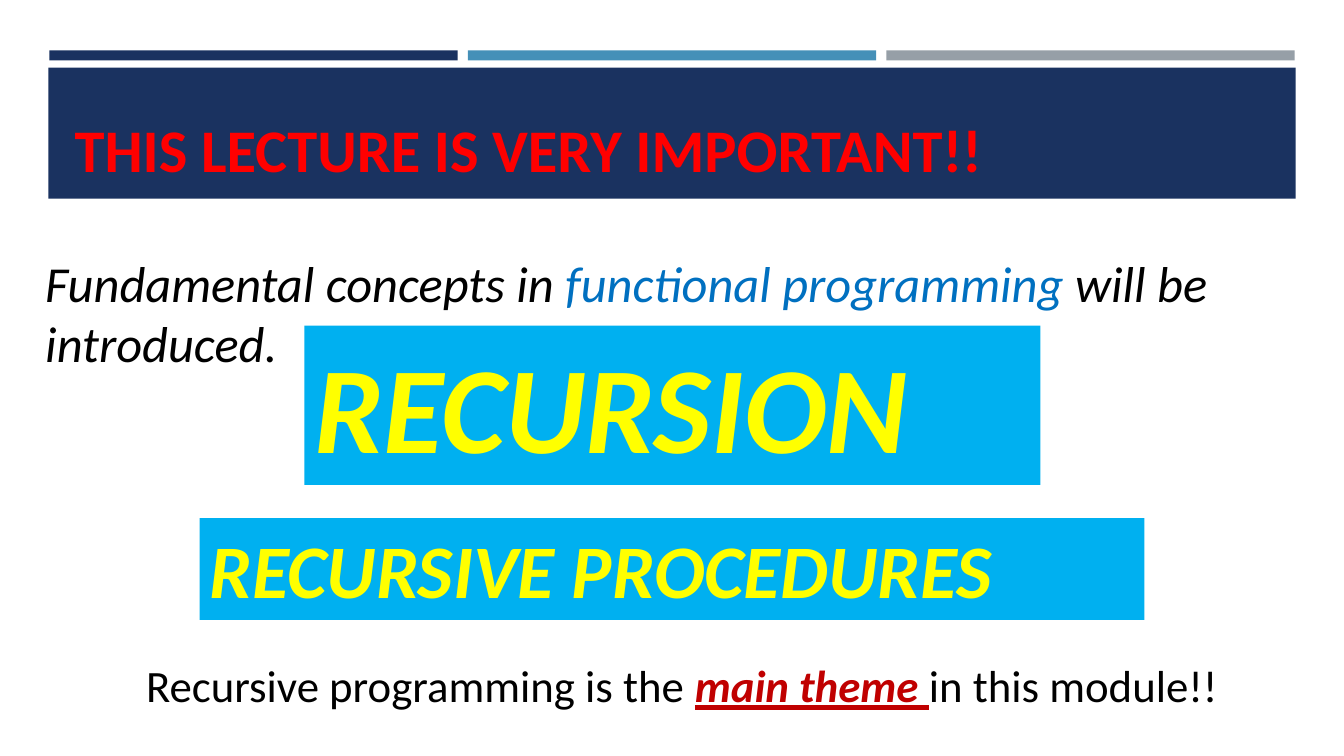
from dataclasses import dataclass

from pptx import Presentation
from pptx.dml.color import RGBColor
from pptx.enum.shapes import MSO_SHAPE
from pptx.enum.text import MSO_ANCHOR, MSO_AUTO_SIZE, PP_ALIGN
from pptx.util import Inches, Pt


@dataclass(frozen=True)
class Theme:
    """Colours, typeface and type sizes of the lecture."""
    font: str = "Calibri"
    navy: str = "1A3260"
    steel: str = "4590B8"
    grey: str = "969FA7"
    sky: str = "00B0F0"
    black: str = "000000"
    blue: str = "0070C0"
    red: str = "FF0000"
    crimson: str = "C00000"
    yellow: str = "FFFF00"
    title: float = 43.2
    lead: int = 36
    closing: int = 32
    hero: int = 88
    topic: int = 54


class LecturePage:
    """Draws the elements of one slide in a shared style."""

    def __init__(self, deck, theme):
        self.theme = theme
        self.page = deck.slides.add_slide(deck.slide_layouts[5])

    def fill_text(self, shape, size, spans, anchor=MSO_ANCHOR.TOP):
        frame = shape.text_frame
        settings = {"word_wrap": True, "auto_size": MSO_AUTO_SIZE.NONE,
                    "vertical_anchor": anchor}
        for name, value in settings.items():
            setattr(frame, name, value)
        para = frame.paragraphs[0]
        para.alignment = PP_ALIGN.LEFT
        for text, colour, formats in spans:
            span = para.add_run()
            span.text = text
            span.font.color.rgb = RGBColor.from_string(colour)
            values = {"name": self.theme.font, "size": Pt(size), **formats}
            for name, value in values.items():
                setattr(span.font, name, value)

    def block(self, bounds, colour):
        shape = self.page.shapes.add_shape(
            MSO_SHAPE.RECTANGLE, *map(Inches, bounds))
        shape.shadow.inherit = False
        shape.fill.solid()
        shape.fill.fore_color.rgb = RGBColor.from_string(colour)
        shape.line.fill.background()
        return shape

    def title(self, bounds, text):
        title = self.page.shapes.title
        for name, value in zip(("left", "top", "width", "height"), bounds):
            setattr(title, name, Inches(value))
        self.page.shapes._spTree.append(title._element)
        self.fill_text(title, self.theme.title,
                       [(text, self.theme.red, {"bold": True})],
                       MSO_ANCHOR.BOTTOM)

    def text(self, bounds, size, spans):
        box = self.page.shapes.add_textbox(*map(Inches, bounds))
        self.fill_text(box, size, spans)

    def banner(self, bounds, size, text):
        banner = self.block(bounds, self.theme.sky)
        emphasis = {"bold": True, "italic": True}
        self.fill_text(banner, size, [(text, self.theme.yellow, emphasis)])


def main():
    theme = Theme()
    deck = Presentation()
    deck.slide_width, deck.slide_height = Inches(13.33), Inches(7.5)
    lecture = LecturePage(deck, theme)

    for column, colour in enumerate((theme.navy, theme.steel, theme.grey)):
        lecture.block((0.49 + 4.15 * column, 0.5, 4.05, 0.1), colour)
    lecture.block((0.48, 0.67, 12.37, 1.3), theme.navy)
    lecture.title((0.64, 0.77, 12.06, 1.11), "THIS LECTURE IS VERY IMPORTANT!!")

    italic = {"italic": True}
    lecture.text((0.35, 2.45, 12.99, 0.71), theme.lead, [
        ("Fundamental concepts in ", theme.black, italic),
        ("functional programming ", theme.blue, italic),
        ("will be introduced.", theme.black, italic),
    ])
    lecture.banner((3.02, 3.23, 7.3, 1.58), theme.hero, "RECURSION")
    lecture.banner((1.98, 5.14, 9.37, 1.01), theme.topic, "RECURSIVE PROCEDURES")
    lecture.text((1.35, 6.48, 11.21, 0.64), theme.closing, [
        ("Recursive programming is the ", theme.black, {}),
        ("main theme ", theme.crimson,
         {"bold": True, "italic": True, "underline": True}),
        ("in this module!!", theme.black, {}),
    ])
    deck.save("out.pptx")


if __name__ == "__main__":
    main()
